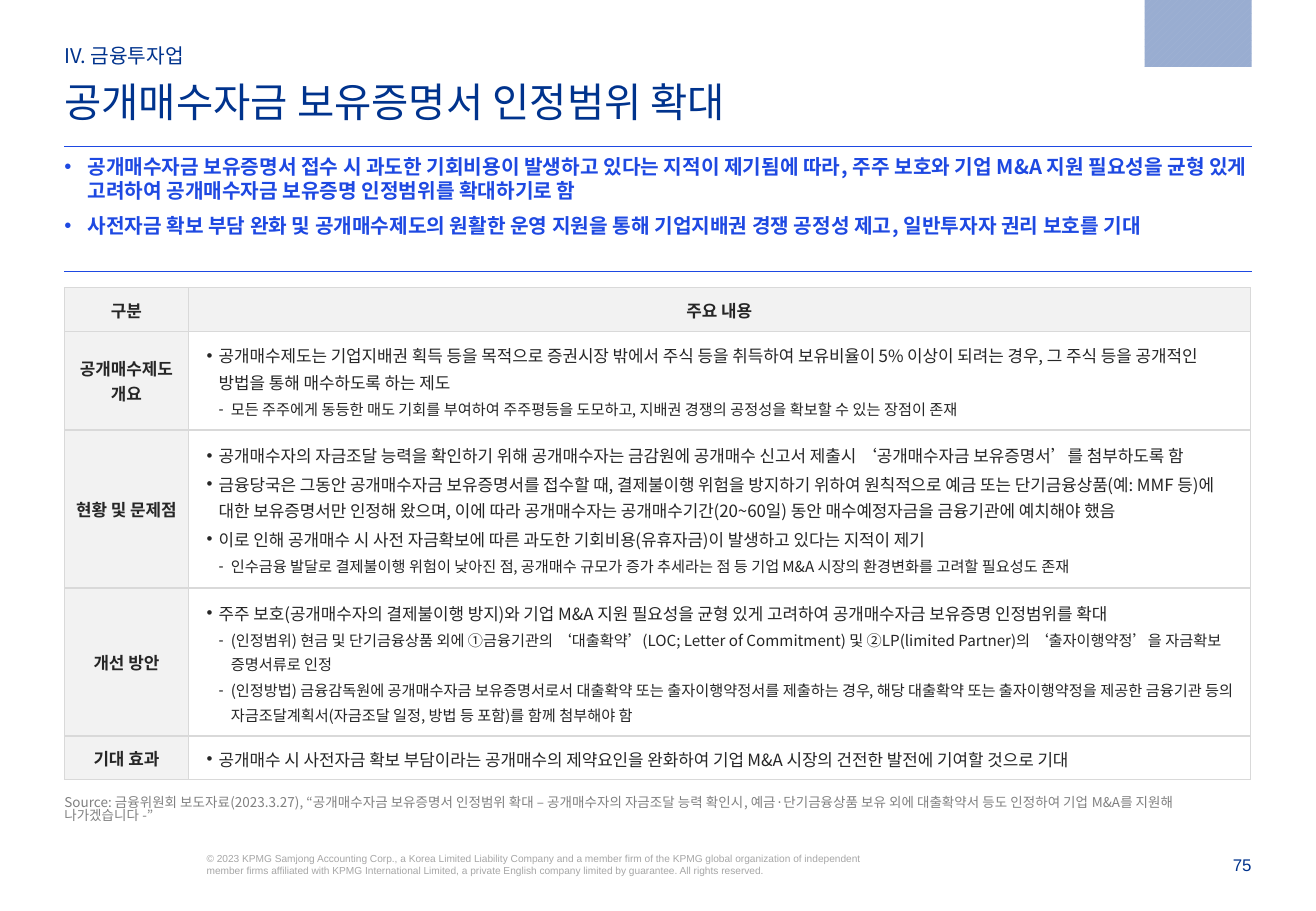
"""Build a slide on tender offer fund certificates."""
from lxml.etree import SubElement as Sub
from pptx import Presentation
from pptx.dml.color import RGBColor
from pptx.enum.dml import MSO_PATTERN as Pat
from pptx.enum.shapes import MSO_CONNECTOR as Conn, MSO_SHAPE as Shape
from pptx.enum.text import MSO_ANCHOR as Anc, PP_ALIGN as Align
from pptx.oxml.ns import qn
from pptx.util import Inches, Pt

NAVY = RGBColor(0x00, 0x33, 0x8D)
BLUE = RGBColor(0x1E, 0x49, 0xE2)
INK = RGBColor(0x26, 0x26, 0x26)
GREY = RGBColor(0x80, 0x80, 0x80)
PALE = RGBColor(0xA6, 0xA6, 0xA6)
RULE = RGBColor(0xD9, 0xD9, 0xD9)
HEAD = RGBColor(0xF2, 0xF2, 0xF2)
MIST = RGBColor(0xA3, 0xB5, 0xD5)
HAZE = RGBColor(0x99, 0xAD, 0xD1)
SANS = "Noto Sans CJK KR"
LEFT, WIDE = 0.53, 9.76

POINTS = [
    "공개매수자금 보유증명서 접수 시 과도한 기회비용이 발생하고 있다는 지적이 제기됨에 따라, 주주 보호와 기업 M&A 지원 필요성을 균형 있게 고려하여 공개매수자금 보유증명 인정범위를 확대하기로 함",
    "사전자금 확보 부담 완화 및 공개매수제도의 원활한 운영 지원을 통해 기업지배권 경쟁 공정성 제고, 일반투자자 권리 보호를 기대",
]
SOURCE = "Source: 금융위원회 보도자료(2023.3.27), “공개매수자금 보유증명서 인정범위 확대 – 공개매수자의 자금조달 능력 확인시, 예금·단기금융상품 보유 외에 대출확약서 등도 인정하여 기업 M&A를 지원해 나가겠습니다 -”"
RIGHTS = "© 2023 KPMG Samjong Accounting Corp., a Korea Limited Liability Company and a member firm of the KPMG global organization of independent member firms affiliated with KPMG International Limited, a private English company limited by guarantee. All rights reserved."
ROWS = [
    (0.81, "공개매수제도 개요", [
        ("•", "공개매수제도는 기업지배권 획득 등을 목적으로 증권시장 밖에서 주식 등을 취득하여 보유비율이 5% 이상이 되려는 경우, 그 주식 등을 공개적인 방법을 통해 매수하도록 하는 제도"),
        ("-", "모든 주주에게 동등한 매도 기회를 부여하여 주주평등을 도모하고, 지배권 경쟁의 공정성을 확보할 수 있는 장점이 존재"),
    ]),
    (1.3, "현황 및 문제점", [
        ("•", "공개매수자의 자금조달 능력을 확인하기 위해 공개매수자는 금감원에 공개매수 신고서 제출시 ‘공개매수자금 보유증명서’를 첨부하도록 함"),
        ("•", "금융당국은 그동안 공개매수자금 보유증명서를 접수할 때, 결제불이행 위험을 방지하기 위하여 원칙적으로 예금 또는 단기금융상품(예: MMF 등)에 대한 보유증명서만 인정해 왔으며, 이에 따라 공개매수자는 공개매수기간(20~60일) 동안 매수예정자금을 금융기관에 예치해야 했음"),
        ("•", "이로 인해 공개매수 시 사전 자금확보에 따른 과도한 기회비용(유휴자금)이 발생하고 있다는 지적이 제기"),
        ("-", "인수금융 발달로 결제불이행 위험이 낮아진 점, 공개매수 규모가 증가 추세라는 점 등 기업 M&A 시장의 환경변화를 고려할 필요성도 존재"),
    ]),
    (1.22, "개선 방안", [
        ("•", "주주 보호(공개매수자의 결제불이행 방지)와 기업 M&A 지원 필요성을 균형 있게 고려하여 공개매수자금 보유증명 인정범위를 확대"),
        ("-", "(인정범위) 현금 및 단기금융상품 외에 ➀금융기관의 ‘대출확약’(LOC; Letter of Commitment) 및 ➁LP(limited Partner)의 ‘출자이행약정’을 자금확보 증명서류로 인정"),
        ("-", "(인정방법) 금융감독원에 공개매수자금 보유증명서로서 대출확약 또는 출자이행약정서를 제출하는 경우, 해당 대출확약 또는 출자이행약정을 제공한 금융기관 등의 자금조달계획서(자금조달 일정, 방법 등 포함)를 함께 첨부해야 함"),
    ]),
    (0.36, "기대 효과", [
        ("•", "공개매수 시 사전자금 확보 부담이라는 공개매수의 제약요인을 완화하여 기업 M&A 시장의 건전한 발전에 기여할 것으로 기대"),
    ]),
]


def write(frame, text, first=True, size=10, color=INK, bold=False, font=SANS,
          align=Align.LEFT, mark=None, left=0, hang=0, lead=1.0, before=0, after=0):
    """Write one paragraph into a text frame."""
    para = frame.paragraphs[0] if first else frame.add_paragraph()
    para.alignment, para.line_spacing = align, lead
    para.space_before = Pt(0 if first else before)
    para.space_after = Pt(after)
    if mark:
        props = para._p.get_or_add_pPr()
        props.set("marL", str(Inches(left)))
        props.set("indent", str(-Inches(hang)))
        Sub(props, qn("a:buFont"), typeface="Arial")
        Sub(props, qn("a:buChar"), char=mark)
    run = para.add_run()
    run.text = text
    face = run.font
    face.size, face.bold, face.name = Pt(size), bold, font
    face.color.rgb = color
    Sub(run._r.get_or_add_rPr(), qn("a:ea"), typeface=font)


class Deck:
    """Hold the style and the current slide."""

    def __init__(self):
        """Start a deck with one blank slide."""
        self.deck = Presentation()
        self.deck.slide_width, self.deck.slide_height = Inches(10.83), Inches(7.5)
        self.slide = self.deck.slides.add_slide(self.deck.slide_layouts[6])
        self.shapes = self.slide.shapes

    def text(self, box, *lines, anchor=Anc.BOTTOM, top=0, **style):
        """Add a text box with one paragraph for each line."""
        frame = self.shapes.add_textbox(*map(Inches, box)).text_frame
        frame.word_wrap, frame.vertical_anchor = True, anchor
        frame.margin_left = frame.margin_right = frame.margin_bottom = 0
        frame.margin_top = Inches(top)
        for i, line in enumerate(lines):
            write(frame, line, first=i == 0, **style)

    def block(self, box):
        """Add the hatched block."""
        rect = self.shapes.add_shape(Shape.RECTANGLE, *map(Inches, box))
        rect.shadow.inherit = False
        rect.line.fill.background()
        rect.fill.patterned()
        rect.fill.pattern = Pat.WIDE_UPWARD_DIAGONAL
        rect.fill.fore_color.rgb, rect.fill.back_color.rgb = MIST, HAZE

    def rule(self, y):
        """Add a thin line across the slide."""
        line = self.shapes.add_connector(
            Conn.STRAIGHT, Inches(LEFT), Inches(y), Inches(10.3), Inches(y))
        line.line.color.rgb, line.line.width = BLUE, Pt(0.25)
        Sub(line._element.spPr, qn("a:effectLst"))

    def cell(self, cell, fill=None, inset=0.05, base=1):
        """Style a cell and return its text frame."""
        props = cell._tc.get_or_add_tcPr()
        for side in "LRTB":
            width = base if side == "B" else 0.75
            edge = Sub(props, qn(f"a:ln{side}"), w=str(Pt(width)))
            paint = Sub(edge, qn("a:solidFill"))
            Sub(paint, qn("a:srgbClr"), val=str(RULE))
        if fill:
            cell.fill.solid()
            cell.fill.fore_color.rgb = fill
        else:
            cell.fill.background()
        cell.vertical_anchor = Anc.MIDDLE
        cell.margin_left = cell.margin_right = Inches(inset)
        cell.margin_top = cell.margin_bottom = Inches(0.05)
        return cell.text_frame

    def table(self, box, cols, head, rows):
        """Add the table of topics and their points."""
        grid = self.shapes.add_table(len(rows) + 1, len(cols), *map(Inches, box)).table
        grid.first_row = grid.horz_banding = False
        for col, width in zip(grid.columns, cols):
            col.width = Inches(width)
        label = dict(bold=True, align=Align.CENTER)
        grid.rows[0].height = Inches(0.36)
        for i, name in enumerate(head):
            write(self.cell(grid.cell(0, i), HEAD, 0.1, 0.75), name, **label)
        for i, (height, topic, items) in enumerate(rows, 1):
            grid.rows[i].height = Inches(height)
            write(self.cell(grid.cell(i, 0), HEAD), topic, **label)
            frame = self.cell(grid.cell(i, 1))
            for j, (mark, line) in enumerate(items):
                main = mark == "•"
                write(frame, line, first=j == 0, size=10 if main else 9, mark=mark,
                      left=0.2 if main else 0.3, hang=0.1, lead=1.1, before=1)


def main():
    """Build and save the slide."""
    deck = Deck()
    deck.text((10.03, 7.04, 0.27, 0.16), "75", font="Arial", color=NAVY, align=Align.RIGHT)
    deck.text((1.7, 7.02, 5.59, 0.2), RIGHTS, anchor=Anc.TOP, size=6, font="Arial", color=PALE)
    deck.text((LEFT, 0.36, WIDE, 0.2), "IV. 금융투자업", size=12, color=NAVY)
    deck.text((LEFT, 0.68, WIDE, 0.35), "공개매수자금 보유증명서 인정범위 확대", size=24, color=NAVY)
    deck.text((LEFT, 1.27, WIDE, 0.95), *POINTS, anchor=Anc.TOP, size=12, color=BLUE,
              bold=True, mark="•", left=0.19, hang=0.19, after=6)
    deck.block((9.42, 0, 0.88, 0.55))
    deck.text((LEFT, 6.57, WIDE, 0.21), SOURCE, top=0.08, size=8, color=GREY, lead=0.82)
    for y in (1.2, 2.23):
        deck.rule(y)
    deck.table((LEFT, 2.37, WIDE, 4.05), (1.02, 8.74), ("구분", "주요 내용"), ROWS)
    deck.deck.save("out.pptx")


if __name__ == "__main__":
    main()
